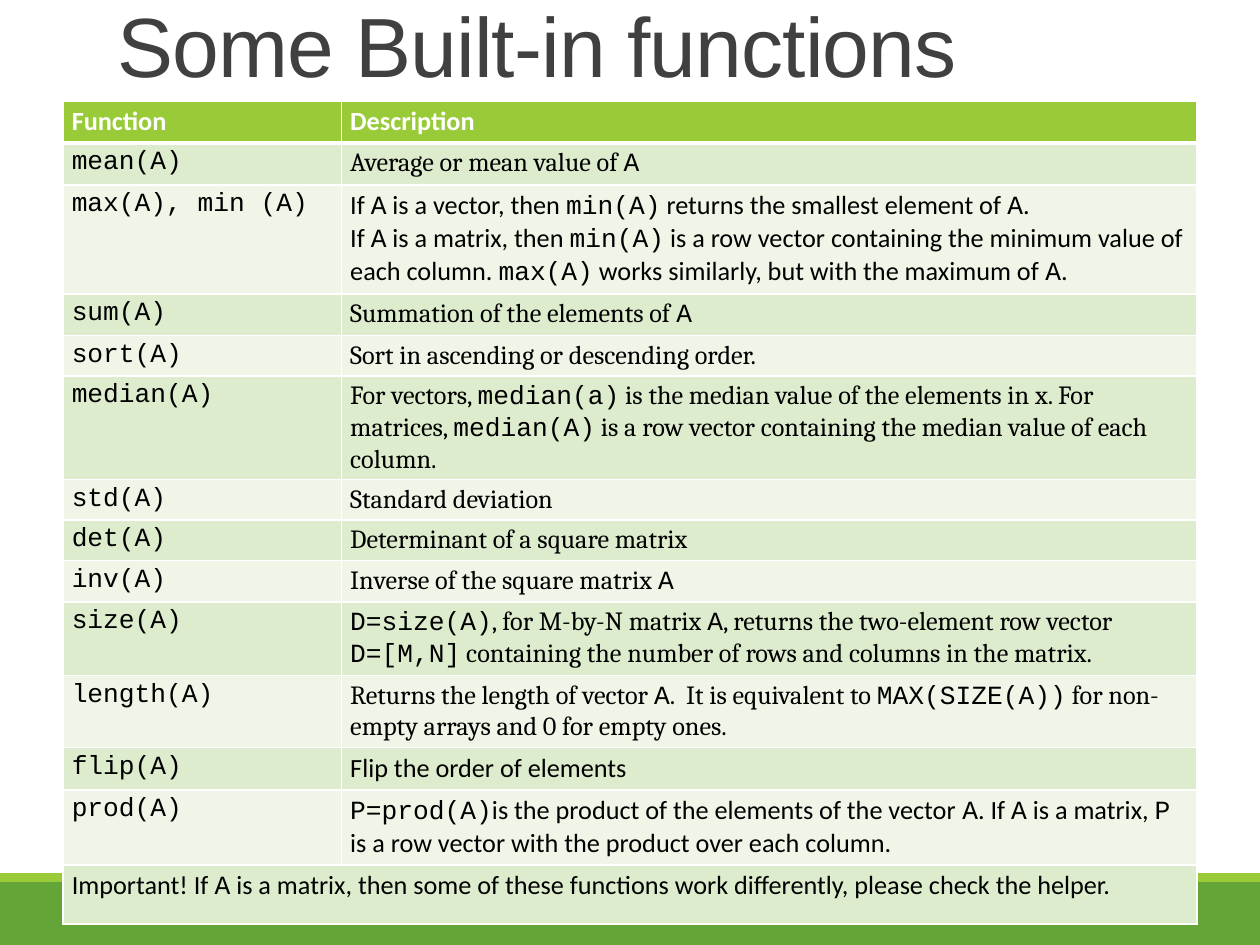
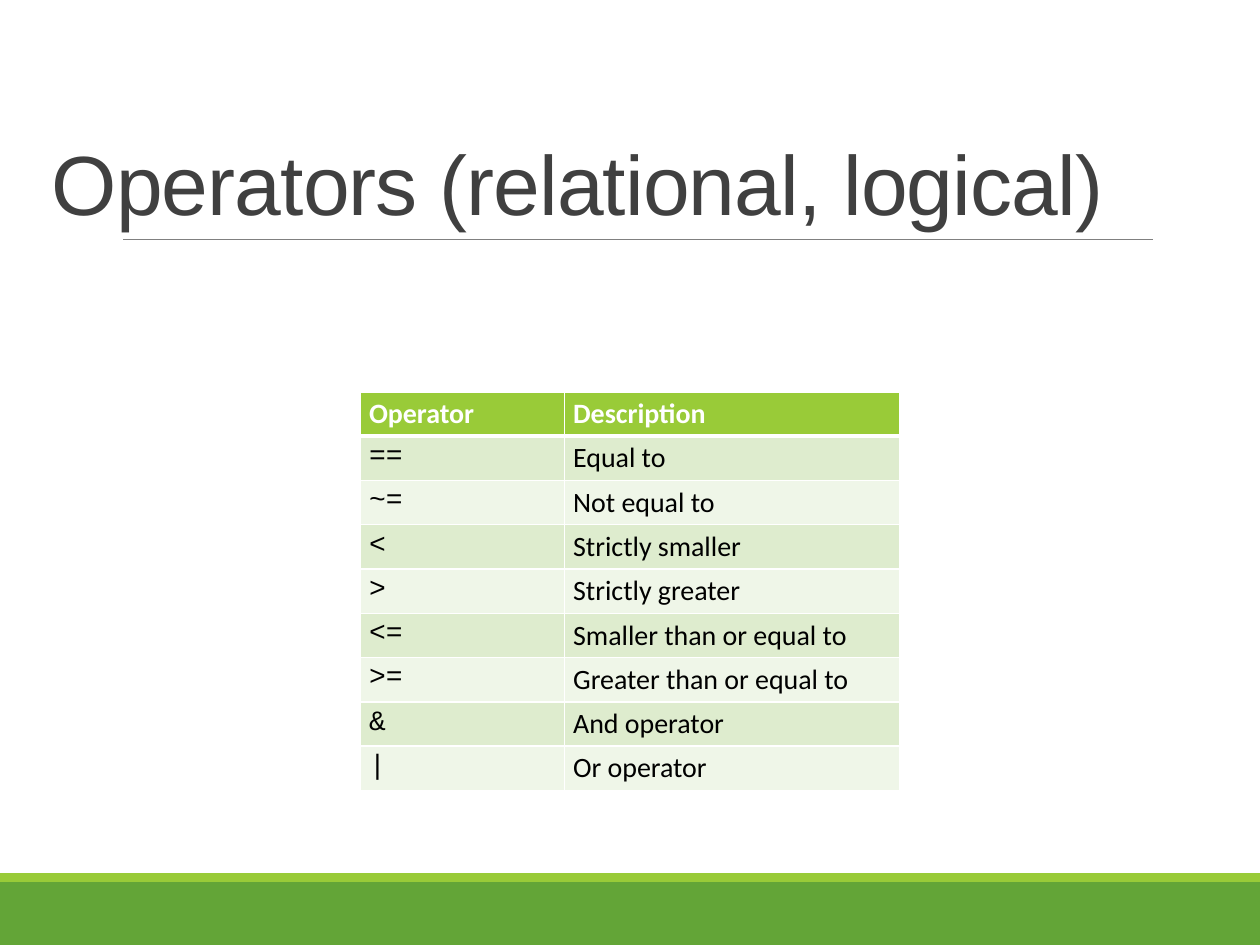
from lxml.etree import SubElement
from pptx import Presentation
from pptx.dml.color import RGBColor
from pptx.enum.shapes import MSO_CONNECTOR, MSO_SHAPE
from pptx.enum.text import MSO_ANCHOR, MSO_AUTO_SIZE, PP_ALIGN
from pptx.oxml.ns import qn
from pptx.util import Inches, Pt

WHITE = RGBColor(0xFF, 0xFF, 0xFF)
BLACK = RGBColor(0x00, 0x00, 0x00)
TITLE_GRAY = RGBColor(0x40, 0x40, 0x40)
RULE_GRAY = RGBColor(0x80, 0x80, 0x80)
DARK_GREEN = RGBColor(0x63, 0xA5, 0x37)
LIME = RGBColor(0x99, 0xCB, 0x38)
ROW_GREENS = [RGBColor(0xEF, 0xF6, 0xE8), RGBColor(0xDE, 0xEC, 0xCE)]
SANS, SERIF, CODE = "Calibri", "Cambria", "Courier New"

FUNCTIONS = [
    (0.32, SANS, "Function", "Description"),
    (0.32, SERIF, "`mean(A)`", "Average or mean value of `A`"),
    (0.86, SANS, "`max(A), min (A)`",
     "If `A` is a vector, then `min(A)` returns the smallest element of `A`.\n"
     "If `A` is a matrix, then `min(A)` is a row vector containing the minimum value of "
     "each column. `max(A)` works similarly, but with the maximum of `A`."),
    (0.32, SERIF, "`sum(A)`", "Summation of the elements of `A`"),
    (0.32, SERIF, "`sort(A)`", "Sort in ascending or descending order."),
    (0.82, SERIF, "`median(A)`",
     "For vectors, `median(a)` is the median value of the elements in x. For matrices, "
     "`median(A)` is a row vector containing the median value of each column."),
    (0.32, SERIF, "`std(A)`", "Standard deviation"),
    (0.32, SERIF, "`det(A)`", "Determinant of a square matrix"),
    (0.32, SERIF, "`inv(A)`", "Inverse of the square matrix `A`"),
    (0.57, SERIF, "`size(A)`",
     "`D=size(A)`, for M-by-N matrix `A`, returns the two-element row vector "
     "`D=[M,N]` containing the number of rows and columns in the matrix."),
    (0.57, SERIF, "`length(A)`",
     "Returns the length of vector `A`.  It is equivalent to `MAX(SIZE(A))` "
     "for non-empty arrays and 0 for empty ones."),
    (0.32, SANS, "`flip(A)`", "Flip the order of elements"),
    (0.59, SANS, "`prod(A)`",
     "`P=prod(A)`is the product of the elements of the vector `A`. If `A` is a matrix, "
     "`P` is a row vector with the product over each column."),
    (0.47, SANS, "Important! If `A` is a matrix, then some of these functions work "
     "differently, please check the helper."),
]
OPERATORS = [(0.34, SANS, "Operator", "Description")] + [
    (0.34, SANS, f"`{operator}`", meaning) for operator, meaning in [
        ("==", "Equal to"),
        ("~=", "Not equal to"),
        ("<", "Strictly smaller"),
        (">", "Strictly greater"),
        ("<=", "Smaller than or equal to"),
        (">=", "Greater than or equal to"),
        ("&", "And operator"),
        ("|", "Or operator"),
    ]
]
SLIDES = [
    {"title": "Some Built-in functions", "title_box": (0.83, 0, 8.34, 0.8),
     "table_at": (0.5, 0.8), "columns": (2.21, 6.79), "size": 15, "rows": FUNCTIONS},
    {"title": "Operators (relational, logical)", "title_box": (0.31, 0.31, 9.43, 1.59),
     "table_at": (2.86, 3.11), "columns": (1.62, 2.66), "size": 16, "rows": OPERATORS},
]


def write_text(text_frame, text, size, font, color, bold=False):
    for index, line in enumerate(text.split("\n")):
        paragraph = text_frame.paragraphs[0] if index == 0 else text_frame.add_paragraph()
        for position, part in enumerate(line.split("`")):
            if part:
                run = paragraph.add_run()
                run.text = part
                run.font.color.rgb = color
                formats = {"size": Pt(size), "bold": bold, "name": CODE if position % 2 else font}
                for name, value in formats.items():
                    setattr(run.font, name, value)


def add_borders(cell, widths):
    properties = cell._tc.get_or_add_tcPr()
    for side, width in widths.items():
        line = SubElement(properties, qn(f"a:ln{side}"), w=str(Pt(width)))
        SubElement(SubElement(line, qn("a:solidFill")), qn("a:srgbClr"), val=str(WHITE))


presentation = Presentation()
presentation.slide_width = Inches(10)
presentation.slide_height = Inches(7.5)
layout = presentation.slide_layouts[5]

for slide_index, content in enumerate(SLIDES):
    slide = presentation.slides.add_slide(layout)

    if slide_index == 0:
        for top, height, color in [(7, 0.5, DARK_GREEN), (6.93, 0.07, LIME)]:
            band = slide.shapes.add_shape(
                MSO_SHAPE.RECTANGLE, 0, Inches(top), Inches(10), Inches(height))
            band.shadow.inherit = False
            band.fill.solid()
            band.fill.fore_color.rgb = color
            band.line.fill.background()
            layout.shapes.element.append(band.element)
        rule = slide.shapes.add_connector(
            MSO_CONNECTOR.STRAIGHT, Inches(0.98), Inches(1.9), Inches(9.15), Inches(1.9))
        rule.line.color.rgb = RULE_GRAY
        rule.line.width = Pt(0.5)
        SubElement(rule.element.spPr, qn("a:effectLst"))
        layout.shapes.element.append(rule.element)

    title = slide.shapes.title
    for name, value in zip(("left", "top", "width", "height"), content["title_box"]):
        setattr(title, name, Inches(value))
    frame_formats = {"vertical_anchor": MSO_ANCHOR.BOTTOM, "auto_size": MSO_AUTO_SIZE.NONE,
                     "word_wrap": True}
    for name, value in frame_formats.items():
        setattr(title.text_frame, name, value)
    write_text(title.text_frame, content["title"], 48, "Arial", TITLE_GRAY)
    heading = title.text_frame.paragraphs[0]
    heading.alignment = PP_ALIGN.LEFT
    heading.line_spacing = 0.85
    heading.runs[0].font._element.set("spc", "-50")

    rows, columns = content["rows"], content["columns"]
    left, top = content["table_at"]
    table = slide.shapes.add_table(
        len(rows), len(columns), Inches(left), Inches(top),
        Inches(sum(columns)), Inches(sum(row[0] for row in rows))).table
    for column, width in zip(table.columns, columns):
        column.width = Inches(width)

    for row_index, (height, font, *texts) in enumerate(rows):
        table.rows[row_index].height = Inches(height)
        is_header = row_index == 0
        for column_index in range(len(columns)):
            cell = table.cell(row_index, column_index)
            margins = {"margin_left": 0.07, "margin_right": 0.07,
                       "margin_top": 0.04, "margin_bottom": 0.04}
            for name, value in margins.items():
                setattr(cell, name, Inches(value))
            add_borders(cell, {"L": 1, "R": 1, "T": 3 if row_index == 1 else 1,
                               "B": 3 if is_header else 1})
            cell.fill.solid()
            cell.fill.fore_color.rgb = LIME if is_header else ROW_GREENS[row_index % 2]
            if column_index < len(texts):
                write_text(cell.text_frame, texts[column_index], content["size"], font,
                           WHITE if is_header else BLACK, is_header)
        if len(texts) == 1:
            table.cell(row_index, 0).merge(table.cell(row_index, 1))

presentation.save("out.pptx")
